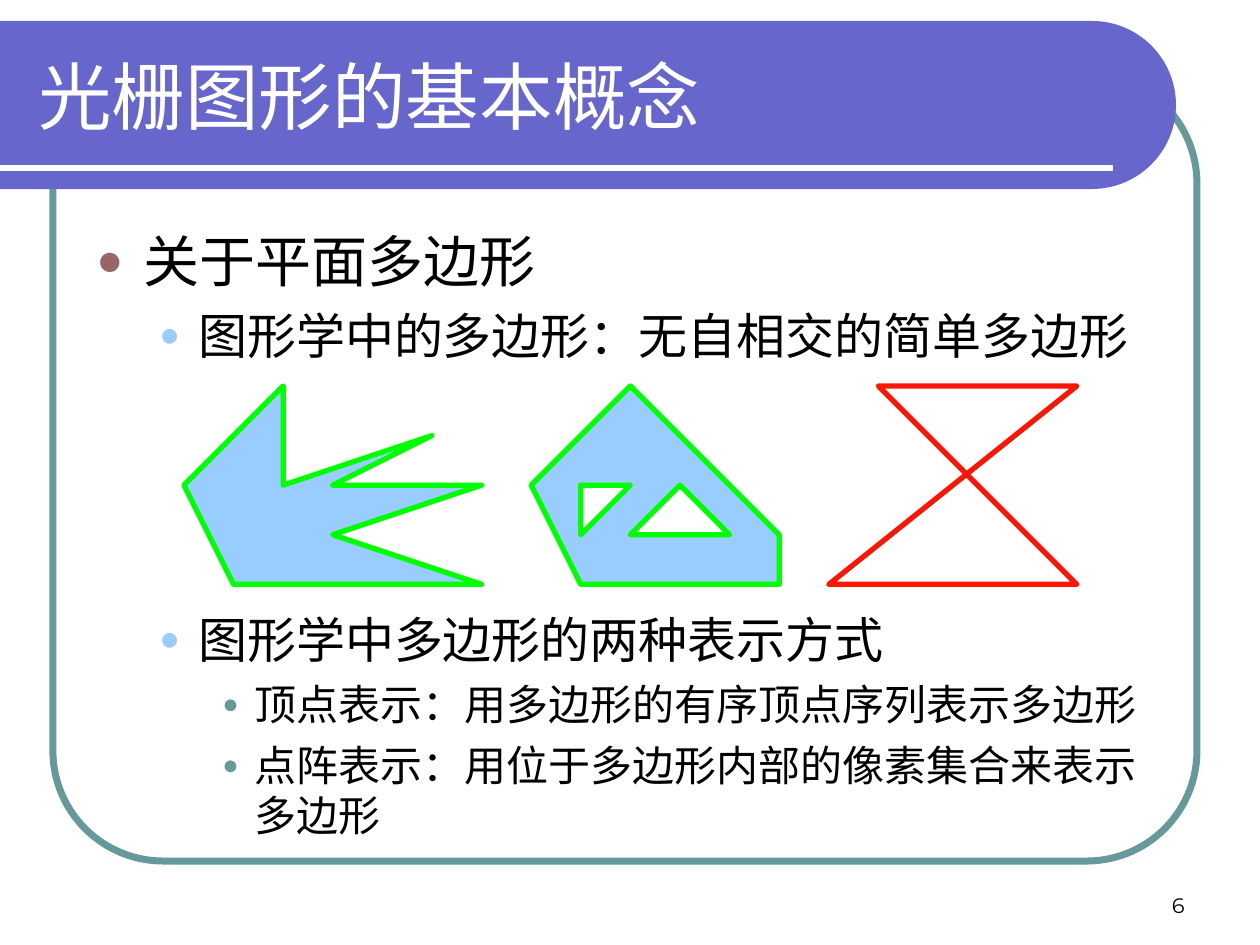
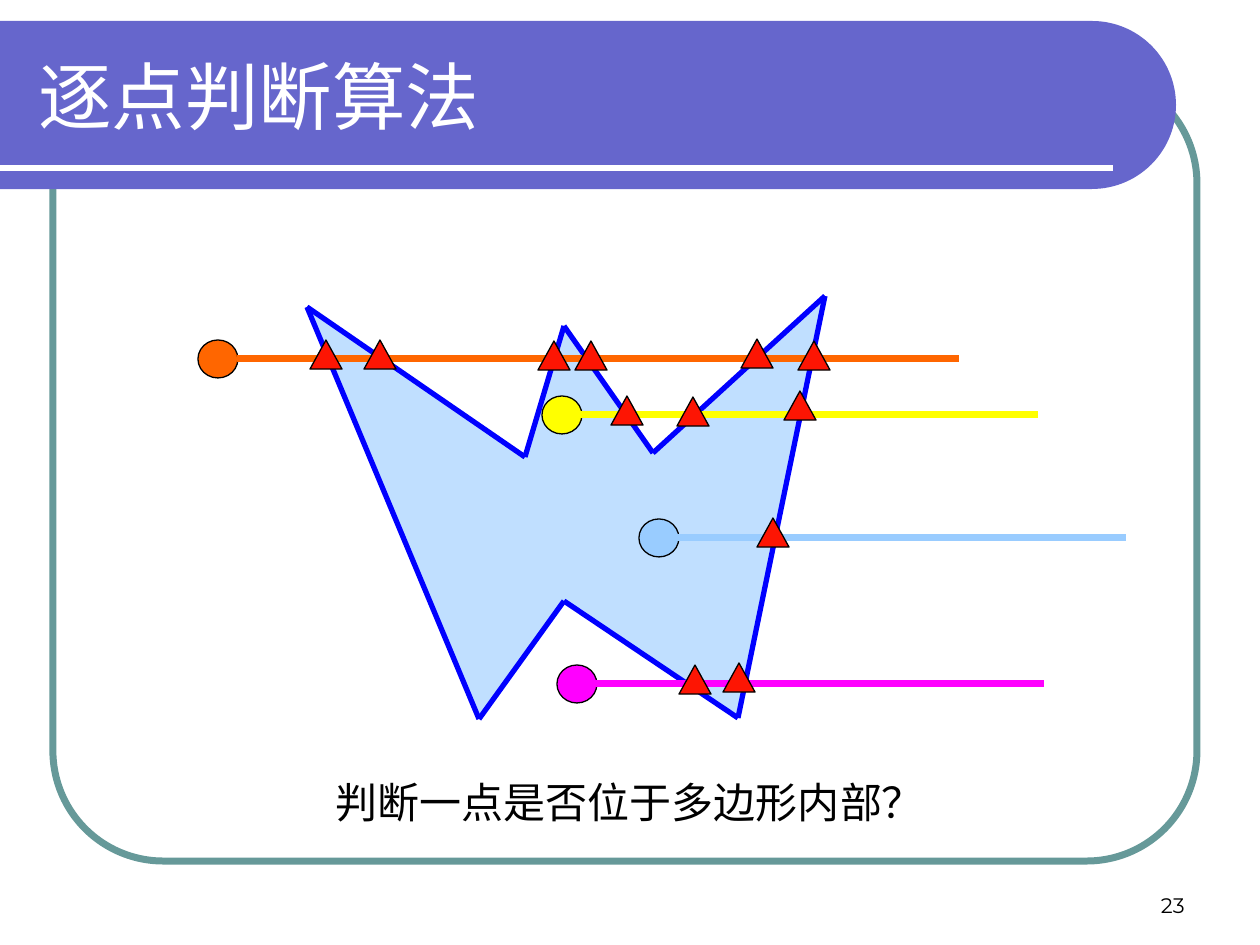
import dataclasses
import math

import lxml.etree
import pptx
import pptx.dml.color
import pptx.enum.dml
import pptx.enum.shapes
import pptx.enum.text
import pptx.oxml.ns
import pptx.util

EMU_PER_PX = 914400 / 126
SHAPES = pptx.enum.shapes.MSO_SHAPE
ALIGN = pptx.enum.text.PP_ALIGN
ANCHOR = pptx.enum.text.MSO_ANCHOR


@dataclasses.dataclass(frozen=True)
class Theme:
    white: str = "FFFFFF"
    black: str = "000000"
    band: str = "6666CC"
    frame: str = "669999"
    sky: str = "99CCFF"
    green: str = "00FF00"
    red: str = "FD1503"
    edge: str = "0000FF"
    orange: str = "FF6600"
    yellow: str = "FFFF00"
    magenta: str = "FF00FF"
    body_font: str = "Arial"
    caption_font: str = "Times New Roman"
    number_font: str = "Montserrat"
    title_size: int = 42
    caption_size: int = 24
    number_size: int = 12
    thin: float = 0.75
    medium: int = 3
    thick: int = 4


@dataclasses.dataclass(frozen=True)
class Level:
    size: int
    margin: int
    hanging: int
    space: int
    bullet_color: str
    bullet_percent: int


THEME = Theme()
LEVELS = (
    Level(32, 47, 47, 8, "996666", 80),
    Level(28, 102, 39, 7, THEME.sky, 70),
    Level(24, 158, 32, 6, THEME.frame, 65),
)

GRID_LEFT, GRID_TOP, GRID_CELL = 184, 386, 49.6
SPIKY_POLYGON = ((2, 0), (0, 2), (1, 4), (6, 4), (3, 3), (6, 2), (3, 2), (5, 1), (2, 2))
HOLLOW_POLYGON = ((9, 0), (7, 2), (8, 4), (12, 4), (12, 3))
HOLES = (((9, 2), (8, 2), (8, 3)), ((10, 2), (9, 3), (11, 3)))
CROSSED_POLYGON = ((14, 0), (18, 0), (13, 4), (18, 4))

TESTED_POLYGON = (
    (479, 719), (307, 307), (525, 457), (564, 326),
    (653, 453), (825, 296), (738, 718), (564, 601),
)
RAYS = (
    (THEME.sky, 639, 538, 668, 1126, ((757, 518),)),
    (THEME.yellow, 542, 415, 580, 1038, ((611, 396), (677, 397), (784, 391))),
    (THEME.magenta, 557, 684, 585, 1044, ((679, 665), (723, 663))),
    (THEME.orange, 198, 359, 237, 959,
     ((310, 340), (364, 340), (538, 341), (575, 341), (741, 339), (798, 341))),
)


def px(length):
    return pptx.util.Emu(round(length * EMU_PER_PX))


def rgb(color):
    return pptx.dml.color.RGBColor.from_string(color)


def add_element(parent, tag, **attributes):
    return lxml.etree.SubElement(parent, pptx.oxml.ns.qn(tag), attributes)


def paint(shape, fill=None, line=None, weight=THEME.medium):
    shape.shadow.inherit = False
    if fill:
        shape.fill.solid()
        shape.fill.fore_color.rgb = rgb(fill)
    else:
        shape.fill.background()
    if line:
        shape.line.color.rgb = rgb(line)
        shape.line.width = pptx.util.Pt(weight)
    else:
        shape.line.fill.background()
    return shape


def add_preset(slide, preset, left, top, width, height, **style):
    shape = slide.shapes.add_shape(preset, px(left), px(top), px(width), px(height))
    return paint(shape, **style)


def add_polygon(slide, points, **style):
    corners = [(px(x), px(y)) for x, y in points]
    builder = slide.shapes.build_freeform(*corners[0])
    builder.add_line_segments(corners[1:], close=True)
    return paint(builder.convert_to_shape(), **style)


def add_grid_polygon(slide, cells, **style):
    points = [(GRID_LEFT + GRID_CELL * column, GRID_TOP + GRID_CELL * row)
              for column, row in cells]
    return add_polygon(slide, points, **style)


def add_line(slide, start, end, color, weight):
    connector = slide.shapes.add_connector(
        pptx.enum.shapes.MSO_CONNECTOR.STRAIGHT,
        *(px(length) for length in (*start, *end)))
    connector.line.color.rgb = rgb(color)
    connector.line.width = pptx.util.Pt(weight)
    add_element(connector._element.spPr, "a:effectLst")


def set_font(paragraph, name, size, color):
    paragraph.font.name = name
    paragraph.font.size = pptx.util.Pt(size)
    paragraph.font.color.rgb = rgb(color)


def add_text_frame(slide, left, top, width, height, anchor=ANCHOR.TOP):
    box = slide.shapes.add_textbox(px(left), px(top), px(width), px(height))
    box.text_frame.word_wrap = True
    box.text_frame.vertical_anchor = anchor
    return box.text_frame


def add_label(slide, bounds, text, font, size, color, align, anchor=ANCHOR.TOP):
    paragraph = add_text_frame(slide, *bounds, anchor).paragraphs[0]
    paragraph.text = text
    paragraph.alignment = align
    set_font(paragraph, font, size, color)


def add_bullets(slide, top, height, items):
    frame = add_text_frame(slide, 84, top, 1092, height)
    for index, (depth, text) in enumerate(items):
        level = LEVELS[depth]
        paragraph = frame.add_paragraph() if index else frame.paragraphs[0]
        paragraph.text = text
        paragraph.level = depth
        if index:
            paragraph.space_before = pptx.util.Pt(level.space)
        properties = paragraph._p.get_or_add_pPr()
        properties.set("marL", str(px(level.margin)))
        properties.set("indent", str(px(-level.hanging)))
        bullet_color = add_element(properties, "a:buClr")
        add_element(bullet_color, "a:srgbClr", val=level.bullet_color)
        add_element(properties, "a:buSzPct", val=str(level.bullet_percent * 1000))
        add_element(properties, "a:buFont", typeface=THEME.body_font)
        add_element(properties, "a:buChar", char="●")
        set_font(paragraph, THEME.body_font, level.size, THEME.black)


def add_band(slide):
    center_x, center_y, radius = 1092, 105, 84
    angles = [math.radians(degrees) for degrees in range(-90, 91, 3)]
    arc = [(center_x + radius * math.cos(angle), center_y + radius * math.sin(angle))
           for angle in angles]
    outline = [(0, center_y - radius), *arc, (0, center_y + radius)]
    add_polygon(slide, outline, fill=THEME.band)
    add_line(slide, (0, 168), (1113, 168), THEME.white, THEME.medium)


def add_base_slide(presentation, title, number):
    slide = presentation.slides.add_slide(presentation.slide_layouts[6])
    frame = add_preset(slide, SHAPES.ROUNDED_RECTANGLE, 53, 73, 1144, 788,
                       line=THEME.frame, weight=THEME.thick)
    frame.adjustments[0] = 0.14
    add_band(slide)
    add_label(slide, (26, 32, 1105, 126), title, THEME.body_font, THEME.title_size,
              THEME.white, ALIGN.LEFT, ANCHOR.MIDDLE)
    add_label(slide, (903, 861, 294, 63), number, THEME.number_font, THEME.number_size,
              THEME.black, ALIGN.RIGHT, ANCHOR.BOTTOM)
    return slide


def add_ray(slide, color, circle_left, y, start, end, crossings):
    add_preset(slide, SHAPES.OVAL, circle_left, y - 19, 40, 38,
               fill=color, line=THEME.black, weight=THEME.thin)
    add_line(slide, (start, y), (end, y), color, THEME.thick)
    for left, top in crossings:
        add_preset(slide, SHAPES.ISOSCELES_TRIANGLE, left, top, 32, 29,
                   fill=THEME.red, line=THEME.black, weight=THEME.thin)


def build_concepts(presentation):
    slide = add_base_slide(presentation, "光栅图形的基本概念", "6")
    add_bullets(slide, 220, 150, (
        (0, "关于平面多边形"),
        (1, "图形学中的多边形：无自相交的简单多边形"),
    ))
    add_bullets(slide, 603, 250, (
        (1, "图形学中多边形的两种表示方式"),
        (2, "顶点表示：用多边形的有序顶点序列表示多边形"),
        (2, "点阵表示：用位于多边形内部的像素集合来表示多边形"),
    ))
    for cells in (SPIKY_POLYGON, HOLLOW_POLYGON):
        add_grid_polygon(slide, cells, fill=THEME.sky, line=THEME.green)
    for cells in HOLES:
        add_grid_polygon(slide, cells, fill=THEME.white, line=THEME.green)
    add_grid_polygon(slide, CROSSED_POLYGON, line=THEME.red)


def build_point_test(presentation):
    slide = add_base_slide(presentation, "逐点判断算法", "23")
    polygon = add_polygon(slide, TESTED_POLYGON, fill=THEME.sky)
    fill_color = polygon._element.spPr.find(".//" + pptx.oxml.ns.qn("a:srgbClr"))
    add_element(fill_color, "a:alpha", val="61000")
    for start, end in zip(TESTED_POLYGON, TESTED_POLYGON[1:] + TESTED_POLYGON[:1]):
        add_line(slide, start, end, THEME.edge, THEME.medium)
    for ray in RAYS:
        add_ray(slide, *ray)
    add_label(slide, (134, 770, 992, 63), "判断一点是否位于多边形内部？",
              THEME.caption_font, THEME.caption_size, THEME.black, ALIGN.CENTER)


def main():
    presentation = pptx.Presentation()
    presentation.slide_width = px(1260)
    presentation.slide_height = px(945)
    build_concepts(presentation)
    build_point_test(presentation)
    presentation.save("out.pptx")


if __name__ == "__main__":
    main()
